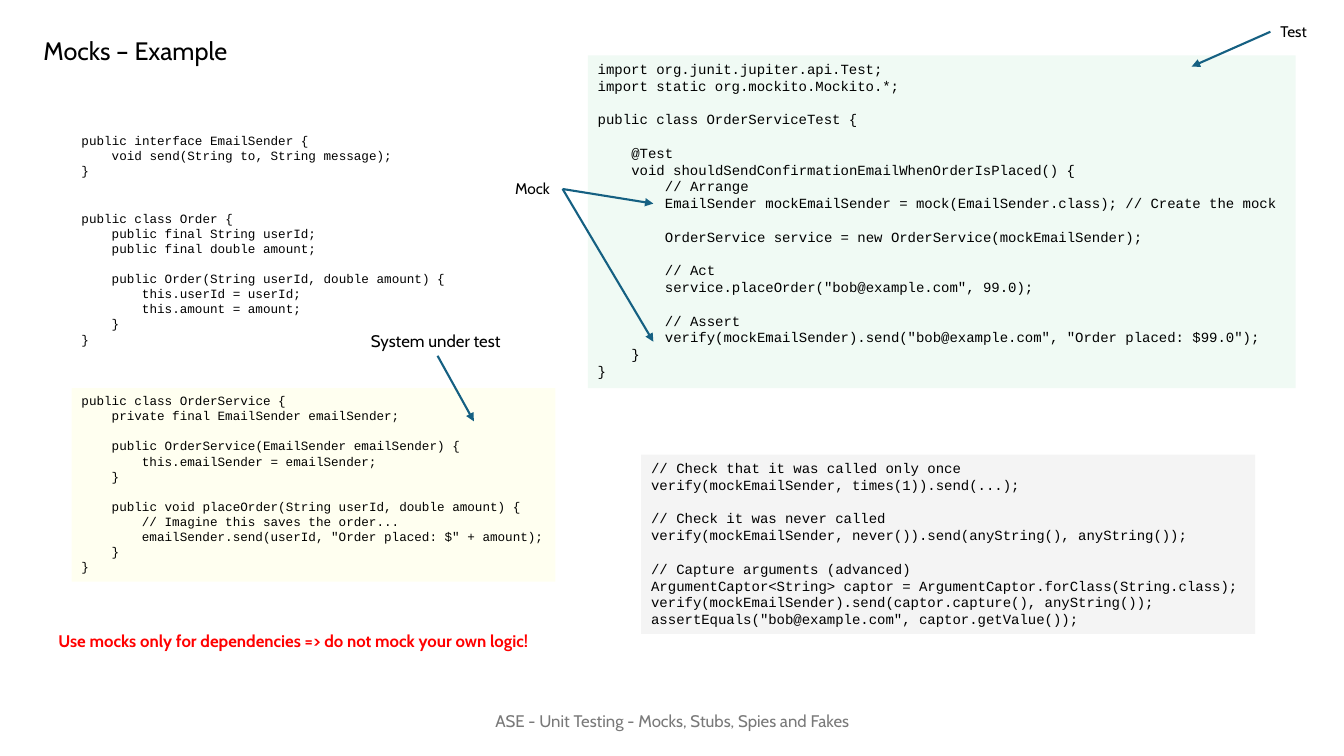
from lxml.etree import SubElement
from pptx import Presentation
from pptx.dml.color import RGBColor
from pptx.enum.shapes import MSO_CONNECTOR, MSO_SHAPE
from pptx.enum.text import MSO_ANCHOR, MSO_AUTO_SIZE, PP_ALIGN
from pptx.oxml.ns import qn
from pptx.util import Inches, Pt

BOTTOM, LEFT, RIGHT = 2, 1, 3
INDENT_SPACES = 4

EMAIL_SENDER = """\
public interface EmailSender {
    void send(String to, String message);
}"""

ORDER = """\
public class Order {
    public final String userId;
    public final double amount;

    public Order(String userId, double amount) {
        this.userId = userId;
        this.amount = amount;
    }
}"""

ORDER_SERVICE = """\
public class OrderService {
    private final EmailSender emailSender;

    public OrderService(EmailSender emailSender) {
        this.emailSender = emailSender;
    }

    public void placeOrder(String userId, double amount) {
        // Imagine this saves the order...
        emailSender.send(userId, "Order placed: $" + amount);
    }
}"""

ORDER_SERVICE_TEST = """\
import org.junit.jupiter.api.Test;
import static org.mockito.Mockito.*;

public class OrderServiceTest {

    @Test
    void shouldSendConfirmationEmailWhenOrderIsPlaced() {
        // Arrange
        EmailSender mockEmailSender = mock(EmailSender.class); // Create the mock

        OrderService service = new OrderService(mockEmailSender);

        // Act
        service.placeOrder("bob@example.com", 99.0);

        // Assert
        verify(mockEmailSender).send("bob@example.com", "Order placed: $99.0");
    }
}"""

VERIFICATIONS = """\
// Check that it was called only once
verify(mockEmailSender, times(1)).send(...);

// Check it was never called
verify(mockEmailSender, never()).send(anyString(), anyString());

// Capture arguments (advanced)
ArgumentCaptor<String> captor = ArgumentCaptor.forClass(String.class);
verify(mockEmailSender).send(captor.capture(), anyString());
assertEquals("bob@example.com", captor.getValue());"""


def color(hex_value):
    return RGBColor.from_string(hex_value)


def set_attributes(target, values):
    for name, value in values.items():
        setattr(target, name, value)


class SlideBuilder:
    """Holds the style and the slide that is being built."""

    text_font = "Cabin"
    code_font = "Courier New"
    black = "000000"
    arrow_color = "156082"
    arrow_width = 1.5
    code_line_ratio = 1.2
    code_character_ratio = 0.6

    def __init__(self, presentation):
        self.slide = presentation.slides.add_slide(presentation.slide_layouts[5])

    def place(self, shape, position):
        names = ("left", "top", "width", "height")
        set_attributes(shape, dict(zip(names, map(Inches, position))))

    def add_text(self, paragraph, text, size, font_name, font_color, bold=False):
        run = paragraph.add_run()
        run.text = text
        set_attributes(run.font, {"size": Pt(size), "name": font_name, "bold": bold})
        run.font.color.rgb = color(font_color)

    def fill_label(self, shape, text, position, size, font_color, bold=False,
                   alignment=PP_ALIGN.LEFT, **frame_format):
        frame = shape.text_frame
        set_attributes(frame, {
            "word_wrap": False,
            "auto_size": MSO_AUTO_SIZE.SHAPE_TO_FIT_TEXT,
            "vertical_anchor": MSO_ANCHOR.TOP,
            **frame_format,
        })
        paragraph = frame.paragraphs[0]
        paragraph.alignment = alignment
        self.add_text(paragraph, text, size, self.text_font, font_color, bold)
        self.place(shape, position)
        return shape

    def title(self, text, position):
        self.fill_label(self.slide.shapes.title, text, position, 18, self.black)

    def label(self, text, position, size=12, font_color=black, **text_format):
        shape = self.slide.shapes.add_textbox(*map(Inches, position))
        return self.fill_label(shape, text, position, size, font_color, **text_format)

    def code(self, source, position, size, fill=None, opacity=100):
        """Add a code block; blank lines become spacing and leading spaces indents."""
        shapes = self.slide.shapes
        if fill:
            shape = shapes.add_shape(MSO_SHAPE.RECTANGLE, *map(Inches, position))
            shape.shadow.inherit = False
            shape.line.fill.background()
            shape.fill.solid()
            shape.fill.fore_color.rgb = color(fill)
            fill_color = shape._element.spPr.find(".//" + qn("a:srgbClr"))
            SubElement(fill_color, qn("a:alpha"), val=str(opacity * 1000))
        else:
            shape = shapes.add_textbox(*map(Inches, position))
        frame = shape.text_frame
        set_attributes(frame, {"word_wrap": True, "auto_size": MSO_AUTO_SIZE.NONE,
                               "vertical_anchor": MSO_ANCHOR.TOP})
        line_height = Pt(size * self.code_line_ratio)
        gap = Pt(0)
        paragraph = frame.paragraphs[0]
        for number, line in enumerate(source.splitlines()):
            if not line:
                gap = line_height
                continue
            if number:
                paragraph = frame.add_paragraph()
            set_attributes(paragraph, {"alignment": PP_ALIGN.LEFT,
                                       "line_spacing": line_height,
                                       "space_before": gap})
            gap = Pt(0)
            text = line.lstrip()
            level = (len(line) - len(text)) // INDENT_SPACES
            indent = Pt(level * INDENT_SPACES * size * self.code_character_ratio)
            properties = paragraph._p.get_or_add_pPr()
            properties.set("marL", str(int(indent)))
            properties.set("indent", "0")
            self.add_text(paragraph, text, size, self.code_font, self.black)

    def arrow(self, label, side, start, end):
        connector = self.slide.shapes.add_connector(
            MSO_CONNECTOR.STRAIGHT, *map(Inches, (*start, *end)))
        connector.begin_connect(label, side)
        connector.line.color.rgb = color(self.arrow_color)
        connector.line.width = Pt(self.arrow_width)
        properties = connector._element.spPr
        SubElement(properties.find(qn("a:ln")), qn("a:tailEnd"), type="triangle")
        SubElement(properties, qn("a:effectLst"))


def main():
    presentation = Presentation()
    presentation.slide_width = Inches(13.33)
    presentation.slide_height = Inches(7.5)
    builder = SlideBuilder(presentation)

    builder.title("Mocks – Example", (0.33, 0.3, 2.13, 0.4))
    builder.label("ASE - Unit Testing - Mocks, Stubs, Spies and Fakes",
                  (4.42, 6.95, 4.5, 0.4), font_color="797979",
                  alignment=PP_ALIGN.CENTER, word_wrap=True,
                  auto_size=MSO_AUTO_SIZE.NONE, vertical_anchor=MSO_ANCHOR.MIDDLE)

    builder.code(EMAIL_SENDER, (0.71, 1.27, 3.29, 0.56), 9)
    builder.code(ORDER, (0.71, 2.04, 3.82, 1.46), 9)
    builder.code(ORDER_SERVICE, (0.71, 3.85, 4.8, 1.92), 9, "FFFF00", 6)
    builder.code(ORDER_SERVICE_TEST, (5.83, 0.55, 7.02, 3.3), 10, "00B050", 6)
    builder.code(VERIFICATIONS, (6.36, 4.51, 6.09, 1.78), 10, "D9D9D9", 27)

    builder.label("Use mocks only for dependencies => do not mock your own logic!",
                  (0.48, 6.21, 5.16, 0.3), font_color="FF0000", bold=True)
    system_label = builder.label("System under test", (3.58, 3.23, 1.52, 0.3))
    test_label = builder.label("Test", (12.6, 0.17, 0.48, 0.29), 11)
    mock_label = builder.label("Mock", (5.01, 1.73, 0.57, 0.29), 11)

    builder.arrow(system_label, BOTTOM, (4.33, 3.53), (4.7, 4.18))
    builder.arrow(test_label, LEFT, (12.6, 0.31), (11.82, 0.66))
    for mock_use in ((6.48, 2.02), (6.48, 3.39)):
        builder.arrow(mock_label, RIGHT, (5.58, 1.87), mock_use)

    presentation.save("out.pptx")


if __name__ == "__main__":
    main()
